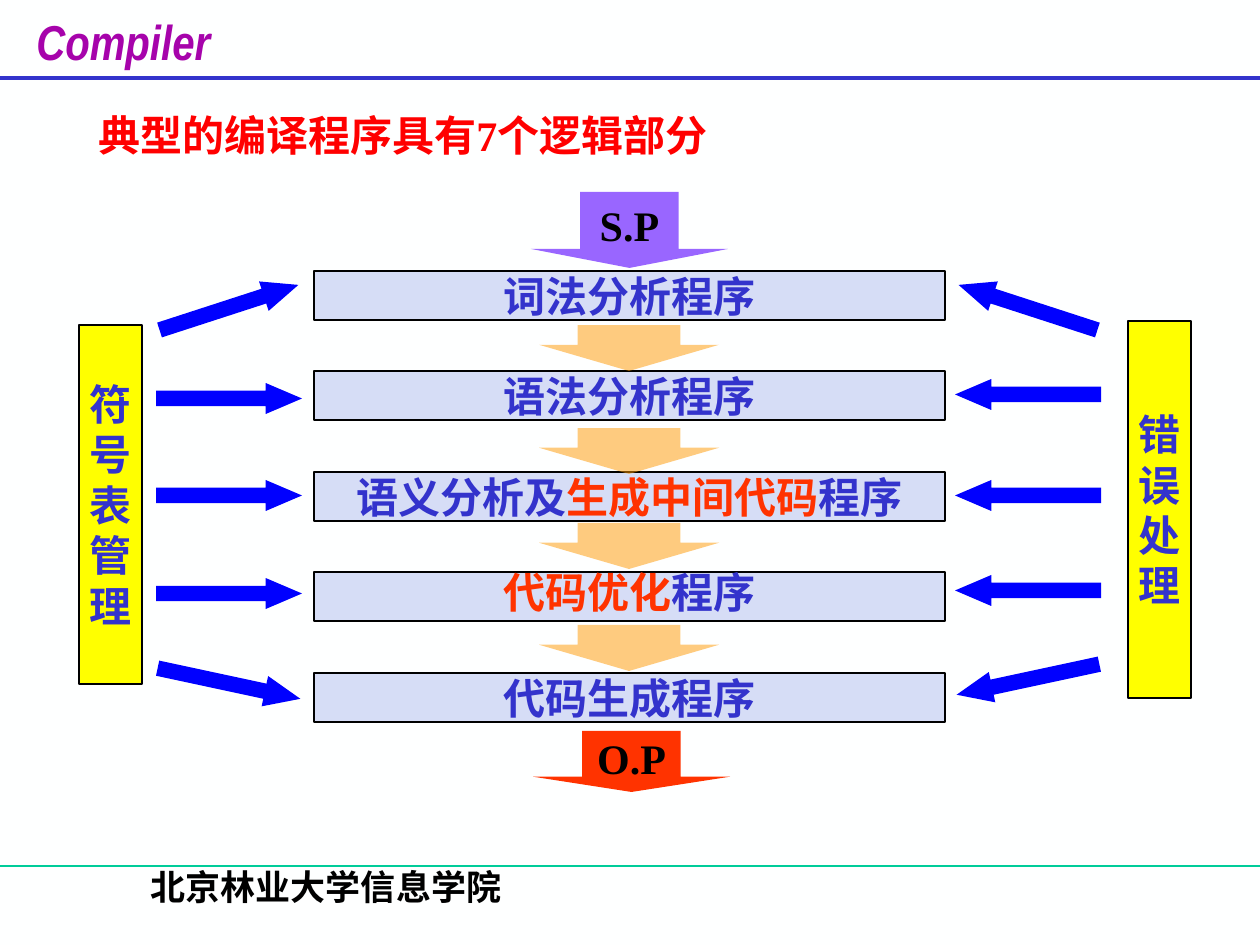
from dataclasses import dataclass

from lxml.etree import SubElement
from pptx import Presentation
from pptx.dml.color import RGBColor
from pptx.enum.shapes import MSO_CONNECTOR as Connector, MSO_SHAPE as Shape
from pptx.enum.text import MSO_ANCHOR as Anchor, PP_ALIGN as Align
from pptx.oxml.ns import qn
from pptx.util import Pt

EMU_PER_PX = 914400 / 126
SLIDE_W, SLIDE_H = 1260, 945


@dataclass(frozen=True)
class Theme:
    paper: str = "FEFFFF"
    ink: str = "000000"
    blue: str = "3333CC"
    green: str = "00CC99"
    brand: str = "A603AB"
    title: str = "FF0000"
    accent: str = "FF3300"
    source: str = "9966FF"
    stage: str = "D6DDF6"
    flow: str = "FF9900"
    side: str = "FFFF00"
    link: str = "0000FF"
    narrow: str = "Arial Narrow"
    serif: str = "Times New Roman"
    cjk: str = "Noto Sans CJK SC"
    header_size: int = 28
    body_size: int = 24
    footer_size: int = 20


THEME = Theme()

# Each stage is a list of (text, colour) spans.
STAGES = [
    [("词法分析程序", THEME.blue)],
    [("语法分析程序", THEME.blue)],
    [("语义分析及", THEME.blue), ("生成中间代码", THEME.accent), ("程序", THEME.blue)],
    [("代码优化", THEME.accent), ("程序", THEME.blue)],
    [("代码生成程序", THEME.blue)],
]
TIGHT_STAGE = 3
FLOW_TOPS = [325, 428, 523, 625]

# Text, frame, fill
ENDS = [
    ("S.P", (531, 192, 197, 76), THEME.source),
    ("O.P", (533, 731, 197, 61), THEME.accent),
]

# Text, frame, arrow shape, arrow left, arrow tops, tilt towards the stages
SIDES = [
    ("符号表管理", (79, 325, 63, 359), Shape.RIGHT_ARROW, 156, [292, 383, 480, 578, 668], 1),
    ("错误处理", (1128, 321, 63, 377), Shape.LEFT_ARROW, 955, [292, 379, 480, 575, 664], -1),
]
TILTS = [-18, 0, 0, 0, 12.1]

# Text, frame, font, size, colour, italic, alignment, anchor, wrap
LABELS = [
    ("Compiler", (24, 5, 241, 78), THEME.narrow, THEME.header_size, THEME.brand,
     True, Align.LEFT, Anchor.TOP, False),
    ("北京林业大学信息学院", (65, 859, 522, 63), THEME.serif, THEME.footer_size, THEME.ink,
     False, Align.CENTER, Anchor.TOP, True),
    ("典型的编译程序具有7个逻辑部分", (86, 103, 654, 63), THEME.serif, THEME.body_size, THEME.title,
     False, Align.LEFT, Anchor.MIDDLE, False),
]

# Height, colour, width in points
RULES = [(866, THEME.green, 0.75), (78, THEME.blue, 2.25)]


def px(*lengths):
    return [round(length * EMU_PER_PX) for length in lengths]


def rgb(colour):
    return RGBColor.from_string(colour)


def write(shape, lines, font, size=THEME.body_size, italic=False,
          align=Align.CENTER, anchor=Anchor.MIDDLE, wrap=False):
    """Fill a shape with lines, each a list of (text, colour) spans."""
    frame = shape.text_frame
    frame.word_wrap = wrap
    frame.vertical_anchor = anchor
    for index, spans in enumerate(lines):
        para = frame.add_paragraph() if index else frame.paragraphs[0]
        para.alignment = align
        para.font.size = Pt(size)
        para.font.bold = True
        para.font.italic = italic
        para.font.name = font
        for text, colour in spans:
            span = para.add_run()
            span.text = text
            span.font.color.rgb = rgb(colour)
            SubElement(span.font._element, qn("a:ea")).set("typeface", THEME.cjk)


def add_block(page, kind, frame, fill, outlined=False, adjustments=()):
    block = page.shapes.add_shape(kind, *px(*frame))
    block.shadow.inherit = False
    block.fill.solid()
    block.fill.fore_color.rgb = rgb(fill)
    if outlined:
        block.line.color.rgb = rgb(THEME.ink)
        block.line.width = Pt(1)
    else:
        block.line.fill.background()
    for index, value in enumerate(adjustments):
        block.adjustments[index] = value
    return block


def add_rule(page, y, colour, width):
    rule = page.shapes.add_connector(Connector.STRAIGHT, *px(0, y, SLIDE_W, y))
    rule.line.color.rgb = rgb(colour)
    rule.line.width = Pt(width)
    SubElement(rule._element.spPr, qn("a:effectLst"))


def add_stages(page):
    for index, spans in enumerate(STAGES):
        top = 271 + index * 201 // 2
        box = add_block(page, Shape.RECTANGLE, (314, top, 631, 49), THEME.stage, outlined=True)
        write(box, [spans], THEME.cjk)
        if index == TIGHT_STAGE:
            box.text_frame.paragraphs[0].line_spacing = 0.8
    for top in FLOW_TOPS:
        arrow = add_block(page, Shape.DOWN_ARROW, (539, top, 180, 46), THEME.flow,
                          adjustments=(0.57, 0.57))
        colour = arrow._element.spPr.find(qn("a:solidFill"))[0]
        SubElement(colour, qn("a:alpha")).set("val", "50000")


def add_sides(page):
    for text, frame, kind, left, tops, direction in SIDES:
        box = add_block(page, Shape.RECTANGLE, frame, THEME.side, outlined=True)
        write(box, [[(letter, THEME.blue)] for letter in text], THEME.cjk)
        for top, tilt in zip(tops, TILTS):
            arrow = add_block(page, kind, (left, top, 146, 31), THEME.link,
                              adjustments=(0.5, 1.17))
            arrow.rotation = direction * tilt


def main():
    deck = Presentation()
    deck.slide_width, deck.slide_height = px(SLIDE_W, SLIDE_H)
    page = deck.slides.add_slide(deck.slide_layouts[6])
    page.background.fill.solid()
    page.background.fill.fore_color.rgb = rgb(THEME.paper)

    for rule in RULES:
        add_rule(page, *rule)
    for text, frame, font, size, colour, italic, align, anchor, wrap in LABELS:
        label = page.shapes.add_textbox(*px(*frame))
        write(label, [[(text, colour)]], font, size, italic, align, anchor, wrap)
    for text, frame, fill in ENDS:
        arrow = add_block(page, Shape.DOWN_ARROW, frame, fill, adjustments=(0.5, 0.25))
        write(arrow, [[(text, THEME.ink)]], THEME.serif)
    add_stages(page)
    add_sides(page)
    deck.save("out.pptx")


if __name__ == "__main__":
    main()
